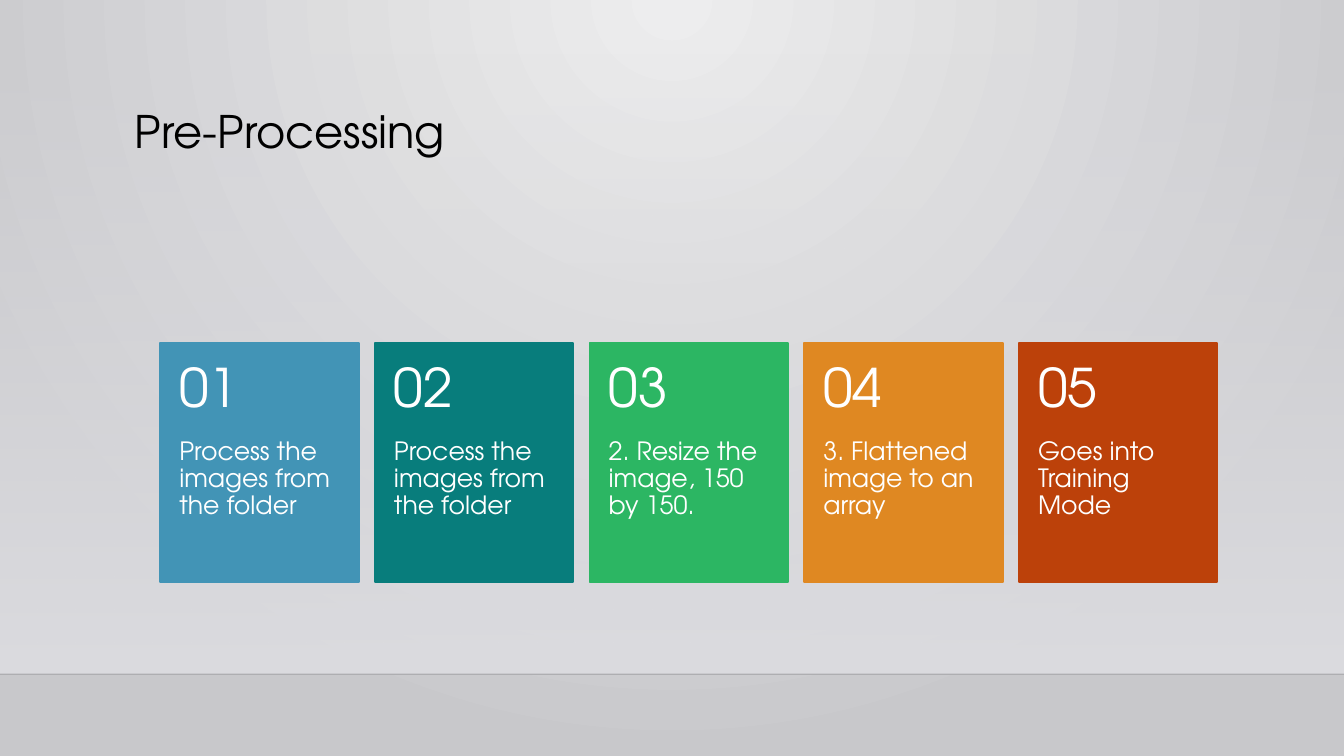
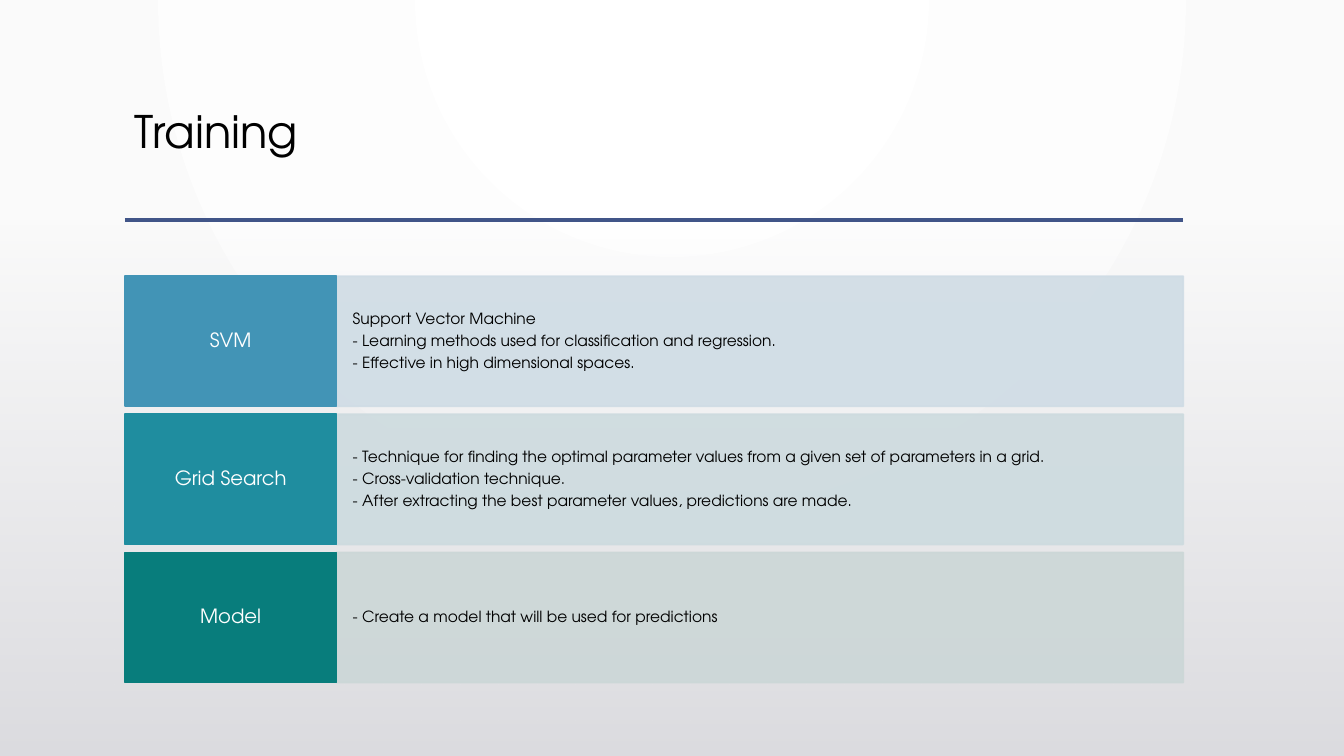
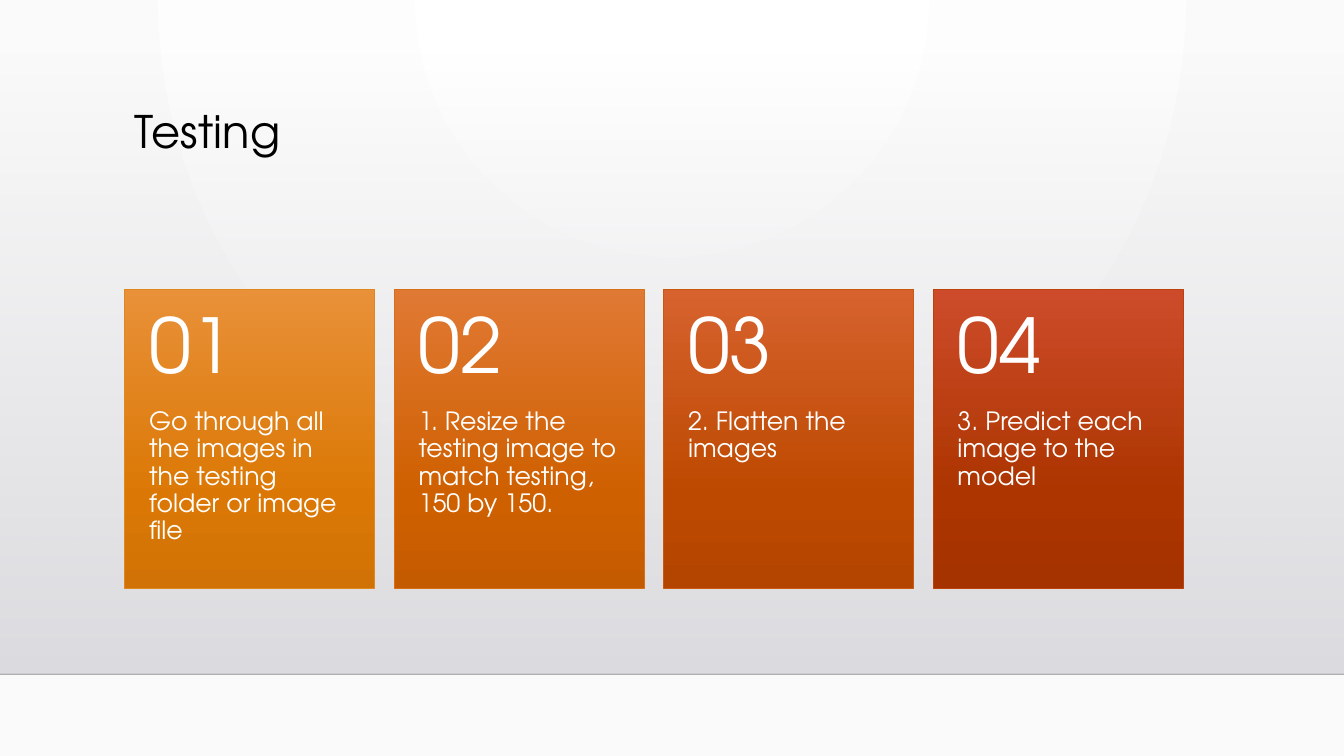
from lxml.etree import SubElement
from pptx import Presentation
from pptx.dml.color import RGBColor
from pptx.enum.shapes import MSO_CONNECTOR, MSO_SHAPE
from pptx.enum.text import MSO_ANCHOR as ANCHOR, PP_ALIGN as ALIGN
from pptx.oxml import parse_xml
from pptx.oxml.ns import nsdecls, qn
from pptx.util import Cm, Pt

FONT = "TeX Gyre Adventor"
COLORS = {
    "black": "000000", "white": "FFFFFF", "paper": "FAFAFA",
    "silver": "EDEDEE", "gray": "C8C8CB", "mist": "DCDCE0", "haze": "DEDEE2",
    "indigo": "415588", "blue": "4294B6", "cyan": "1F8D9F", "teal": "087D7C",
    "green": "2CB663", "orange": "DF8822", "amber": "D57018",
    "copper": "C95811", "rust": "BC410A",
    "pale blue": "CFDCE5", "pale cyan": "CDDBDF", "pale teal": "CCD7D7",
    "orange top": "E99139", "orange mid": "DB7805", "orange low": "D07205",
    "amber top": "E07934", "amber mid": "CF6000", "amber low": "C45B00",
    "copper top": "D7622E", "copper mid": "BD4900", "copper low": "B44500",
    "rust top": "CD4B2A", "rust mid": "AC3500", "rust low": "A43300",
}
DOWNWARD = '<a:lin ang="5400000" scaled="0"/>'
FROM_TOP = '<a:path path="circle"><a:fillToRect l="43000" t="0" r="43000" b="100000"/></a:path>'
SLIDE_W, SLIDE_H = 33.87, 19.05
MARGIN, CONTENT_W = 3.15, 26.67


def set_gradient(fill, owner, stops, direction):
    fill.gradient()
    gradient = next(owner.iter(qn("a:gradFill")))
    marks = "".join(
        f'<a:gs pos="{place * 1000}"><a:srgbClr val="{COLORS[color]}">'
        f'<a:alpha val="{opacity * 1000}"/></a:srgbClr></a:gs>'
        for place, color, opacity in stops)
    gradient.getparent().replace(gradient, parse_xml(
        f'<a:gradFill {nsdecls("a")} rotWithShape="1"><a:gsLst>{marks}</a:gsLst>{direction}</a:gradFill>'))


def add_block(slide, text, left, top, width, height, fill=None, line=None,
              line_width=1.25, opacity=100, size=18, color="white",
              align=ALIGN.LEFT, anchor=ANCHOR.TOP, insets=(0.25, 0.13, 0.25, 0.13), after=0.35):
    place = Cm(left), Cm(top), Cm(width), Cm(height)
    if fill is None:
        block = slide.shapes.add_textbox(*place)
    else:
        block = slide.shapes.add_shape(MSO_SHAPE.RECTANGLE, *place)
        block.shadow.inherit = False
        if isinstance(fill, str):
            block.fill.solid()
            block.fill.fore_color.rgb = RGBColor.from_string(COLORS[fill])
        else:
            set_gradient(block.fill, block._element, fill, DOWNWARD)
        if line:
            block.line.color.rgb = RGBColor.from_string(COLORS[line])
            block.line.width = Pt(line_width)
        else:
            block.line.fill.background()
        if opacity < 100:
            for tint in block._element.spPr.iter(qn("a:srgbClr")):
                SubElement(tint, qn("a:alpha"), val=str(opacity * 1000))
    if not text:
        return
    frame = block.text_frame
    frame.word_wrap = True
    frame.vertical_anchor = anchor
    frame.margin_left, frame.margin_top, frame.margin_right, frame.margin_bottom = map(Cm, insets)
    for index, sentence in enumerate(text.split("\n")):
        paragraph = frame.add_paragraph() if index else frame.paragraphs[0]
        paragraph.alignment = align
        paragraph.line_spacing = 0.9
        paragraph.space_after = Pt(size * after)
        run = paragraph.add_run()
        run.text = sentence
        run.font.name = FONT
        run.font.size = Pt(size)
        run.font.color.rgb = RGBColor.from_string(COLORS[color])


prs = Presentation()
prs.slide_width, prs.slide_height = Cm(SLIDE_W), Cm(SLIDE_H)

footer_rule = (0, SLIDE_W, 16.99, "black", 1, 20)
title_rule = (MARGIN, MARGIN + CONTENT_W, 5.54, "indigo", 2.5, 100)
topics = [
    ("Pre-Processing", ("silver", "gray"), (1.3, 15.69, "haze"), footer_rule),
    ("Training", ("white", "paper"), (5.61, 13.44, "mist"), title_rule),
    ("Testing", ("white", "paper"), (1.3, 15.69, "haze"), footer_rule),
]
slides = []
for title, (center, edge), (fade_top, fade_height, fade_end), rule in topics:
    slide = prs.slides.add_slide(prs.slide_layouts[6])
    slides.append(slide)
    set_gradient(slide.background.fill, slide._element,
                 [(0, center, 100), (100, edge, 100)], FROM_TOP)
    add_block(slide, "", 0, fade_top, SLIDE_W, fade_height,
              fill=[(0, "mist", 0), (100, fade_end, 100)])
    start, end, level, rule_color, weight, opacity = rule
    divider = slide.shapes.add_connector(
        MSO_CONNECTOR.STRAIGHT, Cm(start), Cm(level), Cm(end), Cm(level))
    divider.line.color.rgb = RGBColor.from_string(COLORS[rule_color])
    divider.line.width = Pt(weight)
    tint = next(divider._element.spPr.iter(qn("a:srgbClr")))
    SubElement(tint, qn("a:alpha"), val=str(opacity * 1000))
    SubElement(divider._element.spPr, qn("a:effectLst"))
    add_block(slide, title, MARGIN, 2.64, CONTENT_W, 2.92, size=32, color="black", after=0)

preprocessing, training, testing = slides

preprocessing_steps = [
    ("Process the images from the folder", "blue", "blue"),
    ("Process the images from the folder", "teal", "teal"),
    ("2. Resize the image, 150 by 150.", "green", "green"),
    ("3. Flattened image to an array", "orange", "orange"),
    ("Goes into Training Mode", "rust", "rust"),
]
testing_steps = [
    (caption, [(0, f"{tone} top", 100), (69, f"{tone} mid", 100), (100, f"{tone} low", 100)], tone)
    for caption, tone in [
        ("Go through all the images in the testing folder or image file", "orange"),
        ("1. Resize the testing image to match testing, 150 by 150.", "amber"),
        ("2. Flatten the images", "copper"),
        ("3. Predict each image to the model", "rust"),
    ]
]
step_rows = [
    (preprocessing, preprocessing_steps, 4.04, 8.64, 5, 6.02, 0.41, 0.48, 38, 1.25),
    (testing, testing_steps, MARGIN, 7.29, 6.3, 7.54, 0.49, 0.61, 54, 0.75),
]
for slide, steps, left, top, width, height, gap, pad, number_size, border in step_rows:
    head = height * 0.4
    for index, (caption, fill, line) in enumerate(steps):
        x = left + index * (width + gap)
        add_block(slide, "", x, top, width, height, fill=fill, line=line, line_width=border)
        add_block(slide, caption, x, top + head, width, height - head,
                  insets=(pad, 0, pad, 0.91))
        add_block(slide, f"{index + 1:02}", x, top, width, head, size=number_size,
                  anchor=ANCHOR.MIDDLE, insets=(pad, 0.46, pad, 0.46))

methods = [
    ("SVM", "blue",
     "Support Vector Machine\n"
     "- Learning methods used for classification and regression.\n"
     "- Effective in high dimensional spaces."),
    ("Grid Search", "cyan",
     "- Technique for finding the optimal parameter values from a given set of parameters in a grid.\n"
     "- Cross-validation technique.\n"
     "- After extracting the best parameter values, predictions are made."),
    ("Model", "teal", "- Create a model that will be used for predictions"),
]
label_width, row_height, row_gap = 5.33, 3.28, 0.2
for index, (method, tone, description) in enumerate(methods):
    y = 6.96 + index * (row_height + row_gap)
    add_block(training, description, MARGIN + label_width, y, CONTENT_W - label_width, row_height,
              fill=f"pale {tone}", line=f"pale {tone}", opacity=90, size=11, color="black",
              anchor=ANCHOR.MIDDLE, insets=(0.41, 0.84, 0.41, 0.84))
    add_block(training, method, MARGIN, y, label_width, row_height, fill=tone, line=tone, size=14,
              align=ALIGN.CENTER, anchor=ANCHOR.MIDDLE, insets=(0.28, 0.33, 0.28, 0.33))

prs.save("out.pptx")
